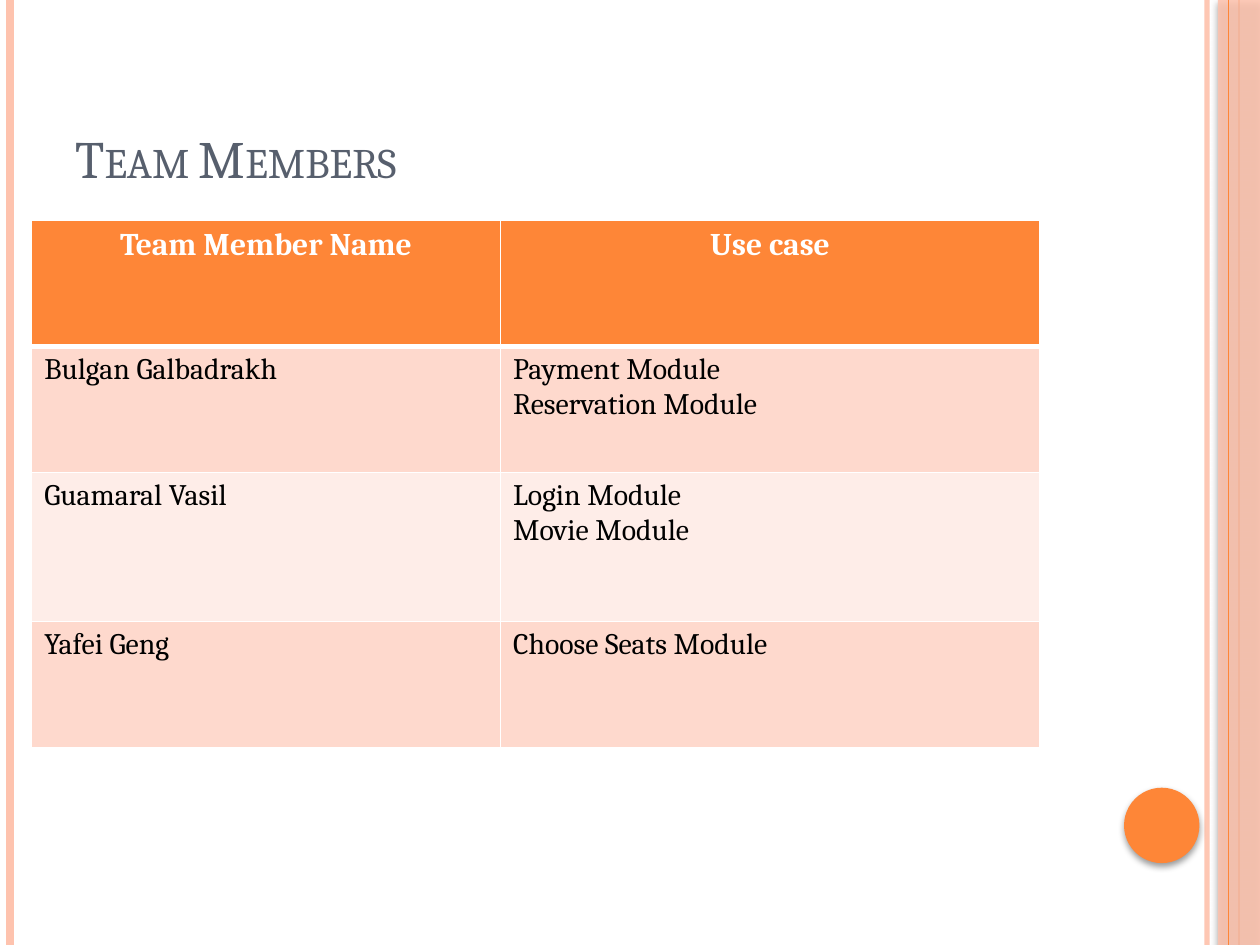
from lxml import etree
from pptx import Presentation
from pptx import util as u
from pptx.dml.color import RGBColor
from pptx.enum import shapes, text
from pptx.oxml import parse_xml
from pptx.oxml.ns import qn

FONT = "Cambria"
COLORS = {"orange": "FE8637", "peach": "FEC3AE", "slate": "575F6D", "white": "FFFFFF",
          "black": "000000", "band": "FED9CD", "pale": "FEEDE8"}
NS = 'xmlns:a="http://schemas.openxmlformats.org/drawingml/2006/main"'


def color(name):
    return RGBColor.from_string(COLORS[name])


def add_span(para, words, size, ink, bold=False):
    span = para.add_run()
    span.text = words
    span.font.name = FONT
    span.font.size = u.Pt(size)
    span.font.bold = bold
    span.font.color.rgb = color(ink)
    return span


deck = Presentation()
deck.slide_width, deck.slide_height = u.Cm(25.4), u.Cm(19.05)
page = deck.slides.add_slide(deck.slide_layouts[6])

# Side stripes, the wide band and the disc, from back to front
decor = [
    ("line", 24.33, "peach", 3, 93),
    ("line", 0.21, "peach", 4.5, 100),
    ("line", 24.98, "orange", 1.5, 100),
    ("shape", shapes.MSO_SHAPE.RECTANGLE, (24.55, 0, 0.85, 19.05), "peach", 87),
    ("line", 24.77, "orange", 0.75, 100),
    ("shape", shapes.MSO_SHAPE.OVAL, (22.66, 15.88, 1.52, 1.52), "orange", 100),
]
for kind, place, *look in decor:
    if kind == "line":
        ink, width, opacity = look
        item = page.shapes.add_connector(shapes.MSO_CONNECTOR.STRAIGHT,
                                         u.Cm(place), 0, u.Cm(place), deck.slide_height)
        item.line.width = u.Pt(width)
        item.line.color.rgb = color(ink)
        etree.SubElement(item._element.spPr, qn("a:effectLst"))
    else:
        frame, ink, opacity = look
        item = page.shapes.add_shape(place, *[u.Cm(side) for side in frame])
        item.fill.solid()
        item.fill.fore_color.rgb = color(ink)
        item.line.fill.background()
        item._element.spPr.append(parse_xml(
            f'<a:effectLst {NS}><a:outerShdw blurRad="{u.Pt(4)}" dist="{u.Pt(2)}" '
            'dir="5400000" rotWithShape="0"><a:srgbClr val="000000">'
            '<a:alpha val="40000"/></a:srgbClr></a:outerShdw></a:effectLst>'))
    if opacity < 100:
        tint = next(item._element.spPr.iter(qn("a:srgbClr")))
        etree.SubElement(tint, qn("a:alpha"), val=str(opacity * 1000))

# Title
title = page.shapes.add_textbox(u.Cm(1.27), u.Cm(0.76), u.Cm(20.75), u.Cm(3.18))
title.text_frame.word_wrap = True
title.text_frame.vertical_anchor = text.MSO_ANCHOR.BOTTOM
span = add_span(title.text_frame.paragraphs[0], "Team Members", 30, "slate")
span.font._element.set("cap", "small")

# Team table
rows = [
    (["Team Member Name"], ["Use case"]),
    (["Bulgan Galbadrakh"], ["Payment Module", "Reservation Module"]),
    (["Guamaral Vasil"], ["Login Module", "Movie Module"]),
    (["Yafei Geng"], ["Choose Seats Module"]),
]
fills = ["orange", "band", "pale", "band"]
heights = [2.54, 2.54, 3, 2.54]
widths = [9.45, 10.87]
table = page.shapes.add_table(len(rows), len(widths), u.Cm(0.64), u.Cm(4.45),
                              u.Cm(sum(widths)), u.Cm(sum(heights))).table
for column, width in zip(table.columns, widths):
    column.width = u.Cm(width)

for r, (row, fill, height) in enumerate(zip(rows, fills, heights)):
    header = r == 0
    table.rows[r].height = u.Cm(height)
    for c, lines in enumerate(row):
        cell = table.cell(r, c)
        for number, words in enumerate(lines):
            frame = cell.text_frame
            para = frame.add_paragraph() if number else frame.paragraphs[0]
            para.alignment = text.PP_ALIGN.CENTER if header else text.PP_ALIGN.LEFT
            add_span(para, words, 18 if header else 17,
                     "white" if header else "black", header)
        # Borders come before the fill in the cell properties
        edges = {"lnL": 1, "lnR": 1, "lnT": 3 if r == 1 else 1, "lnB": 3 if header else 1}
        for edge, width in edges.items():
            cell._tc.get_or_add_tcPr().append(parse_xml(
                f'<a:{edge} {NS} w="{u.Pt(width)}"><a:solidFill>'
                f'<a:srgbClr val="{COLORS["white"]}"/></a:solidFill></a:{edge}>'))
        cell.fill.solid()
        cell.fill.fore_color.rgb = color(fill)

deck.save("out.pptx")
